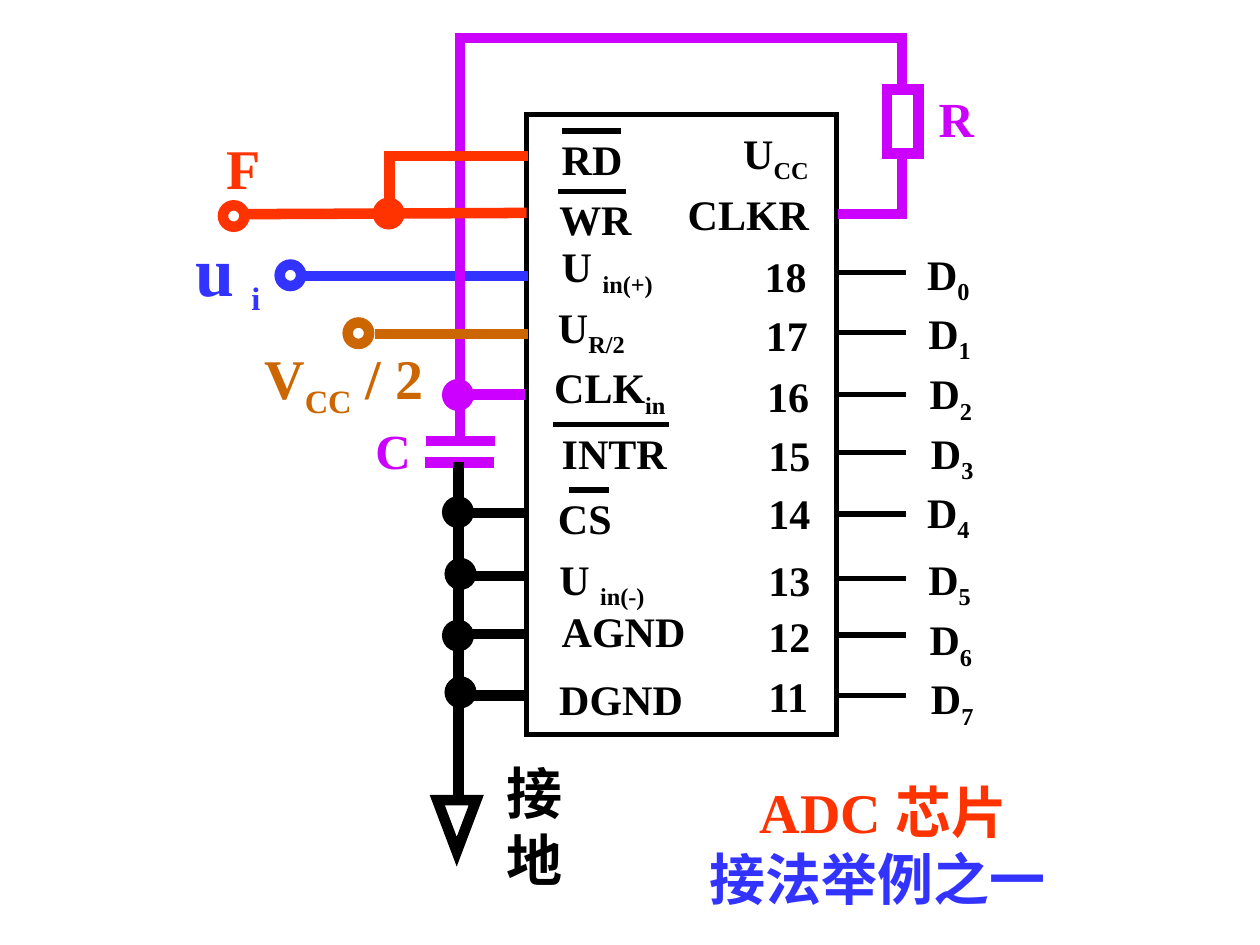
from pptx import Presentation
from pptx.dml.color import RGBColor
from pptx.enum.shapes import MSO_CONNECTOR as CONN, MSO_SHAPE as SHAPE
from pptx.enum.text import MSO_AUTO_SIZE as AUTO
from pptx.oxml.ns import qn
from pptx.util import Cm, Pt
from lxml.etree import SubElement

BLACK = RGBColor(0x00, 0x00, 0x00)
BLUE = RGBColor(0x33, 0x33, 0xFF)
PURPLE = RGBColor(0xCC, 0x00, 0xFF)
BROWN = RGBColor(0xCC, 0x66, 0x00)
RED = RGBColor(0xFF, 0x33, 0x00)


def inch(*values):
    """Convert drawing coordinates in inches to Cm lengths."""
    return [Cm(v * 2.54) for v in values]


class Circuit:
    FONT = {"name": "Times New Roman", "bold": True}
    THIN, THICK = Pt(3), Pt(6)
    DOT = 0.17

    def __init__(self, slide):
        self.s = slide

    def wire(self, x1, y1, x2, y2, color=BLACK, width=THICK):
        c = self.s.shapes.add_connector(CONN.STRAIGHT, *inch(x1, y1, x2, y2))
        c.line.color.rgb = color
        c.line.width = width
        SubElement(c._element.spPr, qn("a:effectLst"))

    def shape(self, kind, x, y, w, h, color=BLACK, width=THICK, filled=False):
        sp = self.s.shapes.add_shape(kind, *inch(x, y, w, h))
        sp.shadow.inherit = False
        sp.line.color.rgb = color
        sp.line.width = width
        # Sharp corners
        SubElement(sp._element.spPr.find(qn("a:ln")), qn("a:miter"), lim="800000")
        if filled:
            sp.fill.solid()
            sp.fill.fore_color.rgb = color
        else:
            sp.fill.background()
        return sp

    def terminal(self, x, y, color):
        self.shape(SHAPE.OVAL, x, y, self.DOT, self.DOT, color)

    def node(self, x, y, color=BLACK):
        self.shape(SHAPE.OVAL, x, y, self.DOT, self.DOT, color, filled=True)

    def text(self, text, x, y, w, h=0.5, size=24, color=BLACK, wrap=True, sub_size=None):
        """Write text; parts between bars are subscripts."""
        tf = self.s.shapes.add_textbox(*inch(x, y, w, h)).text_frame
        tf.word_wrap = wrap
        tf.auto_size = AUTO.SHAPE_TO_FIT_TEXT
        p = tf.paragraphs[0]
        for i, part in enumerate(text.split("|")):
            if not part:
                continue
            r = p.add_run()
            r.text = part
            sub = i % 2 == 1
            fmt = {**self.FONT, "size": Pt(sub_size if sub and sub_size else size)}
            for key, value in fmt.items():
                setattr(r.font, key, value)
            r.font.color.rgb = color
            if sub:
                r._r.get_or_add_rPr().set("baseline", "-25000")

    def inverted(self, text, x, y, w, bar_start, bar_end):
        """Write a signal name with a bar above it."""
        self.text(text, x, y, w)
        self.wire(bar_start, y + 0.03, bar_end, y + 0.03, width=self.THIN)


def main():
    prs = Presentation()
    prs.slide_width, prs.slide_height = inch(10, 7.5)
    c = Circuit(prs.slides.add_slide(prs.slide_layouts[6]))

    # Chip body and signal names
    c.shape(SHAPE.RECTANGLE, 4.18, 0.91, 2.46, 4.92, width=c.THIN)
    for name, x, y, w, h in [
        ("U|CC|", 5.8, 0.96, 1.01, 0.56),
        ("CLKR", 5.36, 1.45, 1.51, 0.5),
        ("U |in(+)|", 4.36, 1.86, 1.42, 0.56),
        ("U|R/2|", 4.33, 2.34, 0.92, 0.56),
        ("CLK|in|", 4.3, 2.82, 1.42, 0.56),
        ("U |in(-)|", 4.34, 4.34, 1.09, 0.56),
        ("AGND", 4.36, 4.76, 1.23, 0.5),
        ("DGND", 4.34, 5.3, 1.23, 0.5),
    ]:
        c.text(name, x, y, w, h)
    c.inverted("RD", 4.36, 1.01, 0.79, 4.46, 4.93)
    c.inverted("WR", 4.34, 1.49, 0.98, 4.43, 4.97)
    c.inverted("INTR", 4.36, 3.34, 1.23, 4.39, 5.31)
    c.inverted("CS", 4.33, 3.86, 0.92, 4.52, 4.83)

    # Data outputs: heights of lead, pin number and label
    outputs = [
        (2.16, 1.94, 1.92), (2.64, 2.41, 2.39), (3.13, 2.89, 2.87), (3.59, 3.36, 3.34),
        (4.08, 3.82, 3.81), (4.59, 4.35, 4.34), (5.04, 4.8, 4.82), (5.52, 5.27, 5.29),
    ]
    for i, (lead_y, pin_y, label_y) in enumerate(outputs):
        c.wire(6.65, lead_y, 7.19, lead_y, width=c.THIN)
        c.text(str(18 - i), min(5.97 + 0.01 * i, 6), pin_y, 0.62)
        c.text(f"D|{i}|", 7.26 + 0.01 * (i % 4), label_y, 0.82, 0.56)

    # Analog input
    c.wire(2.39, 2.19, 4.19, 2.19, BLUE)
    c.terminal(2.22, 2.1, BLUE)
    c.text("u |i|", 1.45, 1.75, 0.72, 0.82, 40, BLUE, wrap=False, sub_size=32)

    # Clock network with R and C
    for ends in [
        (3.65, 0.3, 3.65, 3.47), (6.65, 1.7, 7.19, 1.7), (3.63, 3.13, 4.17, 3.13),
        (7.16, 0.3, 7.16, 0.69), (7.16, 1.23, 7.16, 1.74), (3.61, 0.3, 7.2, 0.3),
        (3.38, 3.5, 3.93, 3.5), (3.37, 3.67, 3.92, 3.67),
    ]:
        c.wire(*ends, PURPLE)
    c.node(3.55, 3.05, PURPLE)
    c.shape(SHAPE.RECTANGLE, 7.04, 0.71, 0.25, 0.51, PURPLE)
    c.text("R", 7.35, 0.65, 0.55, 0.57, 28, PURPLE)
    c.text("C", 2.88, 3.29, 0.55, 0.57, 28, PURPLE)

    # Reference voltage
    c.wire(2.98, 2.65, 4.19, 2.65, BROWN)
    c.terminal(2.76, 2.56, BROWN)
    c.text("V|CC| / 2", 2, 2.68, 1.46, 0.71, 32, BROWN, wrap=False)

    # Read and write control
    c.wire(3.07, 1.24, 4.19, 1.24, RED)
    c.wire(1.94, 1.7, 4.18, 1.69, RED)
    c.wire(3.09, 1.2, 3.09, 1.72, RED)
    c.node(3, 1.61, RED)
    c.terminal(1.77, 1.63, RED)
    c.text("F", 1.7, 1.01, 0.82, 0.64, 32, RED)

    # Ground rail
    c.wire(3.64, 3.67, 3.64, 6.36)
    for wire_y, node_x, node_y in [
        (4.07, 3.55, 3.98), (4.57, 3.57, 4.47), (5.03, 3.55, 4.96), (5.52, 3.57, 5.41),
    ]:
        c.wire(3.65, wire_y, 4.19, wire_y)
        c.node(node_x, node_y)
    ground = c.shape(SHAPE.ISOSCELES_TRIANGLE, 3.47, 6.35, 0.31, 0.41)
    ground._element.spPr.find(qn("a:xfrm")).set("flipV", "1")
    c.text("接地", 3.92, 5.97, 1.04, 1.17, 32)

    # Title
    c.text("ADC 芯片", 5.93, 6.12, 2.75, 0.64, 32, RED)
    c.text("接法举例之一", 5.53, 6.65, 2.87, 0.64, 32, BLUE, wrap=False)

    prs.save("out.pptx")


if __name__ == "__main__":
    main()
